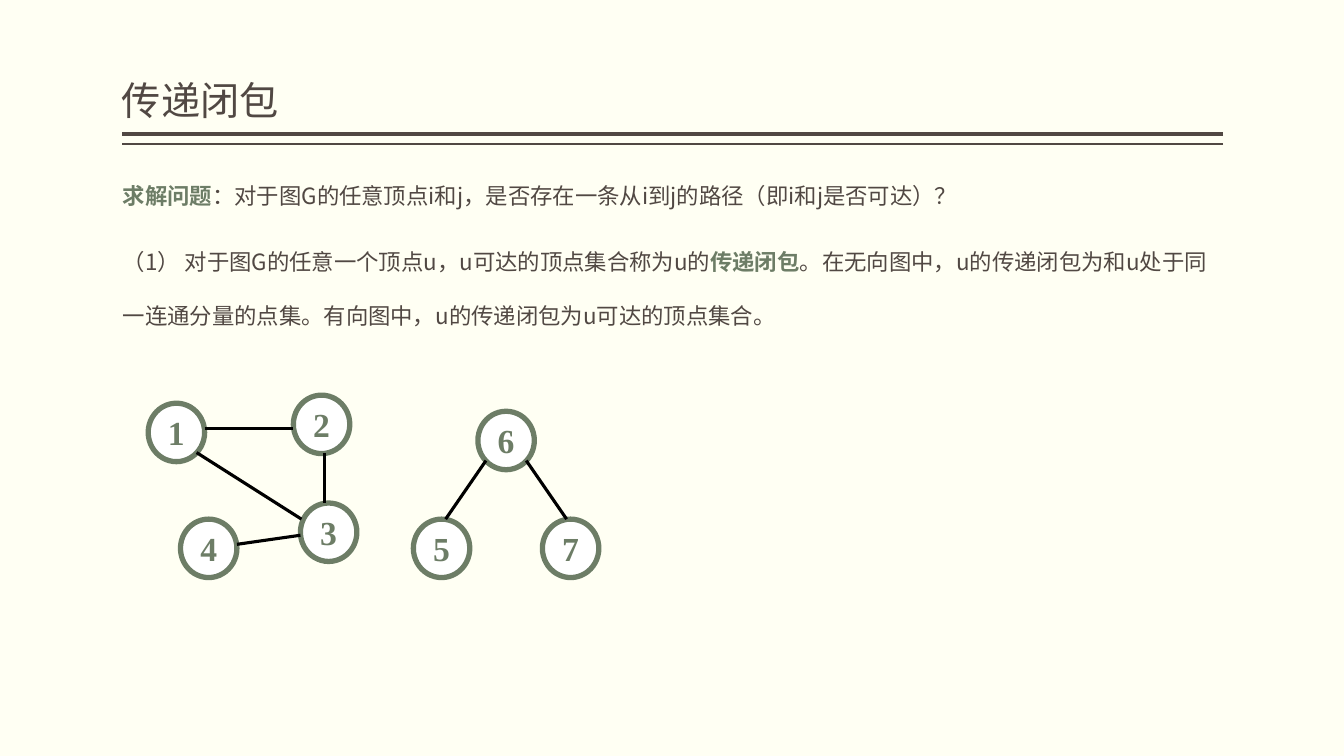
from lxml import etree
from pptx import Presentation
from pptx import util as u
from pptx.dml.color import RGBColor
from pptx.enum import shapes, text
from pptx.oxml import ns

PX = 9144  # EMU per px, 100 px to the inch
CREAM = RGBColor(0xFF, 0xFF, 0xF3)
BROWN = RGBColor(0x51, 0x48, 0x43)
GREEN = RGBColor(0x6D, 0x7D, 0x66)
WHITE = RGBColor(0xFF, 0xFF, 0xFF)
BLACK = RGBColor(0x00, 0x00, 0x00)
SANS, SERIF = "Noto Sans CJK SC", "Times New Roman"

BODY = [
    [("求解问题", True),
     ("：对于图G的任意顶点i和j，是否存在一条从i到j的路径（即i和j是否可达）？", False)],
    [("（1） 对于图G的任意一个顶点u，u可达的顶点集合称为u的", False),
     ("传递闭包", True),
     ("。在无向图中，u的传递闭包为和u处于同一连通分量的点集。"
      "有向图中，u的传递闭包为u可达的顶点集合。", False)],
]

# Graph parts, measured from the corner of the graph's box
NODE_W, NODE_H = 56, 58
NODES = {"1": (0, 8), "2": (144, 0), "3": (151, 107), "4": (32, 123),
         "6": (327, 16), "5": (263, 123), "7": (391, 123)}
EDGES = [
    (56, 33, 144, 33),     # 1 - 2
    (295, 123, 335, 65),   # 5 - 6
    (415, 123, 375, 65),   # 7 - 6
    (175, 107, 175, 57),   # 3 - 2
    (88, 148, 151, 139),   # 4 - 3
    (48, 57, 152, 123),    # 1 - 3
]


def px(*lengths):
    return [u.Emu(length * PX) for length in lengths]


def apply(target, formats):
    for key, value in formats.items():
        setattr(target, key, value)


def add_run(paragraph, words, face, size, color, bold=False):
    run = paragraph.add_run()
    run.text = words
    run.font.color.rgb = color
    apply(run.font, {"name": face, "size": u.Pt(size), "bold": bold})
    east_asian = etree.SubElement(run.font._element, ns.qn("a:ea"))
    east_asian.set("typeface", face)


def add_line(slide, ends, color, width):
    line = slide.shapes.add_connector(shapes.MSO_CONNECTOR.STRAIGHT, *px(*ends))
    line.line.color.rgb = color
    line.line.width = u.Pt(width)
    etree.SubElement(line._element.spPr, ns.qn("a:effectLst"))


def add_heading(slide, left, top, width, height):
    # Double rule under the title
    for drop, weight in ((5, 3), (15, 1)):
        y = top + height + drop
        add_line(slide, (left + width, y, left, y), BROWN, weight)
    # Title
    title = slide.shapes.title
    apply(title, dict(zip(("left", "top", "width", "height"),
                          px(left, top, width, height))))
    apply(title.text_frame, {
        "margin_left": 0, "margin_right": 0,
        "margin_top": u.Inches(0.05), "margin_bottom": u.Inches(0.05),
        "vertical_anchor": text.MSO_ANCHOR.BOTTOM,
        "auto_size": text.MSO_AUTO_SIZE.NONE, "word_wrap": True})
    paragraph = title.text_frame.paragraphs[0]
    apply(paragraph, {"alignment": text.PP_ALIGN.LEFT, "line_spacing": 0.9})
    add_run(paragraph, "传递闭包", SANS, 28, BROWN)


def add_body(slide, left, top, width, height):
    frame = slide.shapes.add_textbox(*px(left, top, width, height)).text_frame
    frame.word_wrap = True
    for number, pieces in enumerate(BODY):
        paragraph = frame.add_paragraph() if number else frame.paragraphs[0]
        apply(paragraph, {"line_spacing": 2.0,
                          "space_before": u.Pt(9 if number else 0)})
        for words, key_term in pieces:
            add_run(paragraph, words, SANS, 16,
                    GREEN if key_term else BROWN, key_term)


def add_graph(slide, left, top):
    # Vertices
    for label, (x, y) in NODES.items():
        node = slide.shapes.add_shape(
            shapes.MSO_SHAPE.OVAL, *px(left + x, top + y, NODE_W, NODE_H))
        node.shadow.inherit = False
        node.fill.solid()
        node.fill.fore_color.rgb = WHITE
        node.line.color.rgb = GREEN
        node.line.width = u.Pt(3.78)
        apply(node.text_frame, {"word_wrap": False,
                                "vertical_anchor": text.MSO_ANCHOR.MIDDLE})
        paragraph = node.text_frame.paragraphs[0]
        paragraph.alignment = text.PP_ALIGN.CENTER
        add_run(paragraph, label, SERIF, 24, GREEN, True)
    # Edges
    for x1, y1, x2, y2 in EDGES:
        add_line(slide, (left + x1, top + y1, left + x2, top + y2), BLACK, 2.25)


def main():
    deck = Presentation()
    deck.slide_width, deck.slide_height = px(1333, 750)
    slide = deck.slides.add_slide(deck.slide_layouts.get_by_name("Title Only"))
    slide.background.fill.solid()
    slide.background.fill.fore_color.rgb = CREAM
    add_heading(slide, 121, 8, 1092, 120)
    add_body(slide, 112, 149, 1100, 306)
    add_graph(slide, 147, 392)
    deck.save("out.pptx")


if __name__ == "__main__":
    main()
